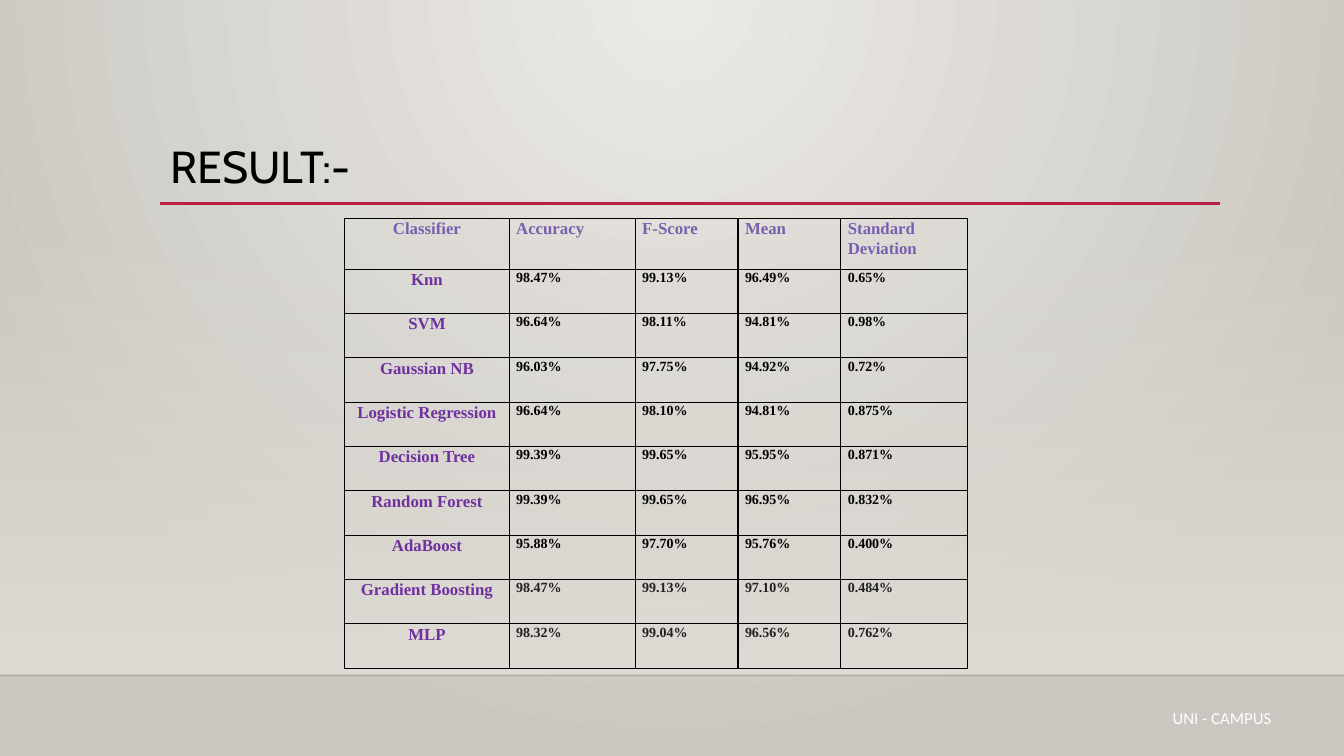
"""Build the classifier results slide."""
from lxml import etree
from pptx import Presentation
from pptx.dml.color import RGBColor
from pptx.enum.shapes import MSO_CONNECTOR, MSO_SHAPE
from pptx.enum.text import MSO_ANCHOR, PP_ALIGN
from pptx.oxml.ns import qn
from pptx.util import Inches, Pt

STRAIGHT, RECTANGLE = MSO_CONNECTOR.STRAIGHT, MSO_SHAPE.RECTANGLE
LEFT, CENTER = PP_ALIGN.LEFT, PP_ALIGN.CENTER
MIDDLE = MSO_ANCHOR.MIDDLE
BLACK = RGBColor(0x00, 0x00, 0x00)
WHITE = RGBColor(0xFF, 0xFF, 0xFF)
CHARCOAL = RGBColor(0x21, 0x21, 0x21)
RED = RGBColor(0xB7, 0x1E, 0x42)
LAVENDER = RGBColor(0x79, 0x5F, 0xAF)
PURPLE = RGBColor(0x70, 0x30, 0xA0)
PALE = RGBColor(0xEC, 0xEA, 0xE7)
GREY = RGBColor(0xCA, 0xC7, 0xC1)
SAND = RGBColor(0xDF, 0xDB, 0xD5)

RESULTS = [
    ("Classifier", "Accuracy", "F-Score", "Mean", "Standard Deviation"),
    ("Knn", "98.47%", "99.13%", "96.49%", "0.65%"),
    ("SVM", "96.64%", "98.11%", "94.81%", "0.98%"),
    ("Gaussian NB", "96.03%", "97.75%", "94.92%", "0.72%"),
    ("Logistic Regression", "96.64%", "98.10%", "94.81%", "0.875%"),
    ("Decision Tree", "99.39%", "99.65%", "95.95%", "0.871%"),
    ("Random Forest", "99.39%", "99.65%", "96.95%", "0.832%"),
    ("AdaBoost", "95.88%", "97.70%", "95.76%", "0.400%"),
    ("Gradient Boosting", "98.47%", "99.13%", "97.10%", "0.484%"),
    ("MLP", "98.32%", "99.04%", "96.56%", "0.762%"),
]
COLUMN_WIDTHS = [1.63, 1.25, 1.02, 1.02, 1.26]
HEADER_HEIGHT, ROW_HEIGHT = 0.5, 0.44


def set_gradient(fill, start, end):
    fill.gradient()
    for stop, color, position in zip(fill.gradient_stops, (start, end), (0, 1)):
        stop.color.rgb = color
        stop.position = position


def add_text(left, top, width, height, text, font, size, color, align):
    tf = s.shapes.add_textbox(Inches(left), Inches(top), Inches(width), Inches(height)).text_frame
    tf.word_wrap = True
    p = tf.paragraphs[0]
    p.text = text
    p.alignment = align
    p.font.name, p.font.size, p.font.color.rgb = font, Pt(size), color
    return tf


prs = Presentation()
prs.slide_width, prs.slide_height = Inches(13.33), Inches(7.5)
s = prs.slides.add_slide(prs.slide_layouts[6])

set_gradient(s.background.fill, PALE, GREY)
grad = s.element.find(".//" + qn("a:gradFill"))
grad.remove(grad.find(qn("a:lin")))
circle = etree.SubElement(grad, qn("a:path"), {"path": "circle"})
etree.SubElement(circle, qn("a:fillToRect"), {"l": "43000", "t": "0", "r": "43000", "b": "100000"})

wall = s.shapes.add_shape(RECTANGLE, 0, Inches(2.21), prs.slide_width, Inches(4.49))
wall.shadow.inherit = False
wall.line.fill.background()
set_gradient(wall.fill, SAND, SAND)
wall.fill.gradient_angle = 270
clear_stop = wall.element.spPr.find(".//" + qn("a:srgbClr"))
etree.SubElement(clear_stop, qn("a:alpha"), {"val": "0"})

for x1, x2, y, color, weight, opacity in [
    (0, 13.33, 6.7, BLACK, 1, 20),
    (1.59, 12.1, 2.02, RED, 2.5, 100),
]:
    rule = s.shapes.add_connector(STRAIGHT, Inches(x1), Inches(y), Inches(x2), Inches(y))
    rule.line.color.rgb, rule.line.width = color, Pt(weight)
    line_color = rule.line._ln.find(".//" + qn("a:srgbClr"))
    etree.SubElement(line_color, qn("a:alpha"), {"val": str(opacity * 1000)})
    etree.SubElement(rule._element.spPr, qn("a:effectLst"))

title = add_text(1.59, 1.33, 10.5, 0.69, "RESULT:-", "Cabin", 32, BLACK, LEFT)
title.vertical_anchor = MIDDLE
title.paragraphs[0].line_spacing = 0.9

table = s.shapes.add_table(
    len(RESULTS), len(COLUMN_WIDTHS), Inches(3.42), Inches(2.17), Inches(6.18), Inches(4.46)
).table
table.first_row = table.horz_banding = False
for column, width in zip(table.columns, COLUMN_WIDTHS):
    column.width = Inches(width)
for i, row in enumerate(RESULTS):
    table.rows[i].height = Inches(ROW_HEIGHT if i else HEADER_HEIGHT)
    for j, value in enumerate(row):
        cell = table.cell(i, j)
        cell.margin_left = cell.margin_right = Inches(0.07)
        cell.margin_top = cell.margin_bottom = 0
        cell.fill.background()
        p = cell.text_frame.paragraphs[0]
        p.text = value
        p.alignment = LEFT if j else CENTER
        p.line_spacing = 1.07
        p.font.name, p.font.bold = "Times New Roman", True
        p.font.size = Pt(10 if i and j else 12)
        if i == 0:
            p.font.color.rgb = LAVENDER
        elif j == 0:
            p.font.color.rgb = PURPLE
        else:
            p.font.color.rgb = BLACK if i < 8 else CHARCOAL
        tcPr = cell._tc.get_or_add_tcPr()
        for k, side in enumerate(("lnL", "lnR", "lnT", "lnB")):
            border = etree.Element(qn("a:" + side), {"w": str(Pt(1))})
            solid = etree.SubElement(border, qn("a:solidFill"))
            etree.SubElement(solid, qn("a:srgbClr"), {"val": str(BLACK)})
            tcPr.insert(k, border)

add_text(11.08, 6.97, 2.08, 0.3, "UNI - CAMPUS", "Calibri", 12, WHITE, CENTER)

prs.save("out.pptx")
